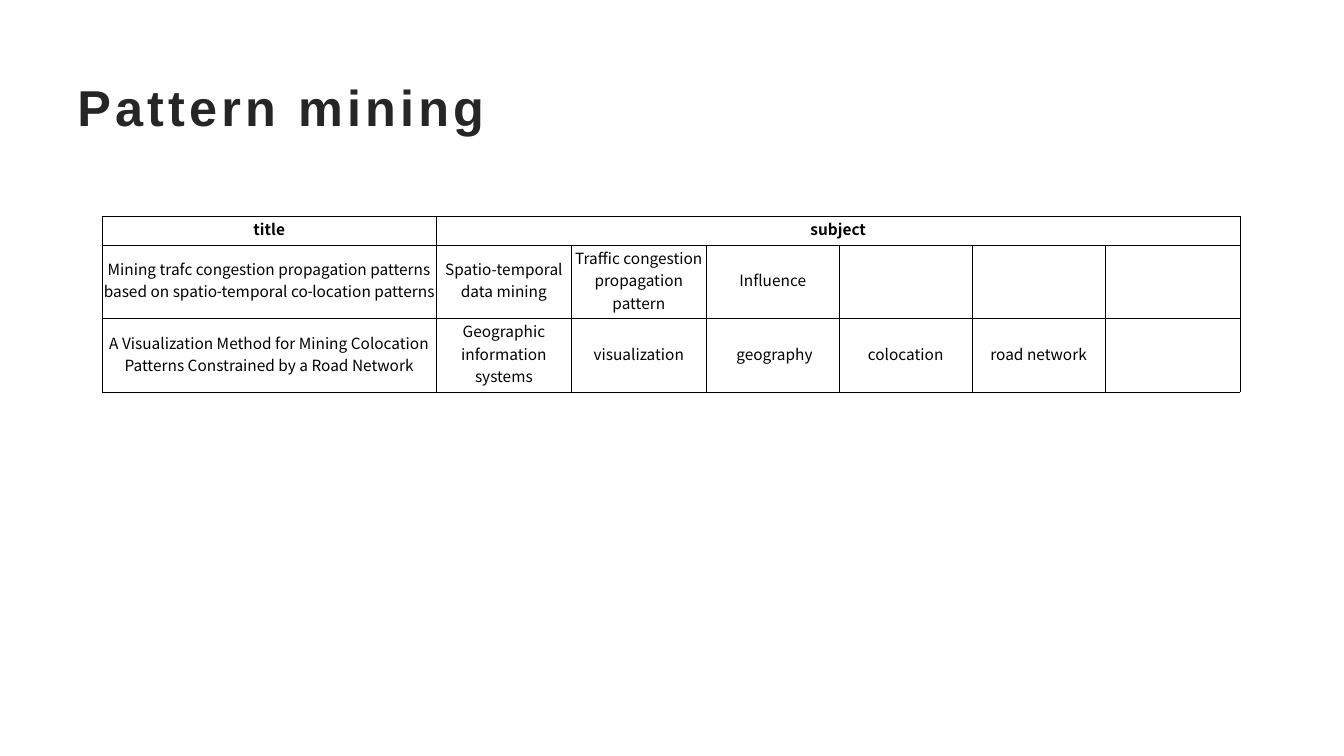
from dataclasses import dataclass

from lxml import etree
from pptx import Presentation, util as u
from pptx.dml.color import RGBColor
from pptx.enum import text as t
from pptx.oxml import ns

BLACK = RGBColor(0x00, 0x00, 0x00)
DARK = RGBColor(0x26, 0x26, 0x26)
SANS, HEAD, DASH = "Noto Sans CJK SC", "Arial", "Roboto"
HYPHEN = "\u2011"


@dataclass
class Style:
    font: str
    size: float
    color: RGBColor
    bold: bool = False
    gap: int = 0  # letter spacing, hundredths of a point


TITLE = Style(HEAD, 36, DARK, True, 300)
LABEL = Style(SANS, 11, BLACK, True)
BODY = Style(SANS, 11, BLACK)
JOIN = Style(DASH, 11, BLACK)

WIDTHS = [8.43, 3.4, 3.4, 3.35, 3.35, 3.35, 3.4]
HEIGHTS = [0.72, 1.85, 1.85]
ROWS = [
    ["title", "subject"],
    ["Mining trafc congestion propagation patterns based on "
     f"spatio{HYPHEN}temporal co{HYPHEN}location patterns",
     "Spatio-temporal data mining", "Traffic congestion propagation pattern",
     "Influence"],
    ["A Visualization Method for Mining Colocation Patterns Constrained "
     "by a Road Network",
     "Geographic information systems", "visualization", " geography",
     "colocation", "road network"],
]


def add_run(para, words: str, style: Style) -> None:
    run = para.add_run()
    run.text = words
    font = run.font
    font.name, font.size, font.bold = style.font, u.Pt(style.size), style.bold
    font.color.rgb = style.color
    props = run._r.get_or_add_rPr()
    if style.gap:
        props.set("spc", str(style.gap))
    etree.SubElement(props, ns.qn("a:ea"), typeface=style.font)


def add_edges(cell) -> None:
    props = cell._tc.get_or_add_tcPr()
    for side in ("lnL", "lnR", "lnT", "lnB"):
        line = etree.SubElement(props, ns.qn(f"a:{side}"), w=str(u.Pt(0.5)))
        fill = etree.SubElement(line, ns.qn("a:solidFill"))
        etree.SubElement(fill, ns.qn("a:srgbClr"), val=str(BLACK))


def fill_cell(cell, words: str, style: Style) -> None:
    add_edges(cell)
    cell.fill.background()
    cell.vertical_anchor = t.MSO_ANCHOR.MIDDLE
    cell.margin_left = cell.margin_right = cell.margin_top = u.Cm(0.03)
    cell.margin_bottom = u.Cm(0.13)
    para = cell.text_frame.paragraphs[0]
    para.alignment = t.PP_ALIGN.CENTER
    # The non-breaking hyphens have a font of their own
    for i, part in enumerate(words.split(HYPHEN)):
        if i:
            add_run(para, HYPHEN, JOIN)
        if part:
            add_run(para, part, style)


def add_title(slide, words: str) -> None:
    box = slide.shapes.add_textbox(u.Cm(1.7), u.Cm(1.7), u.Cm(30.48), u.Cm(1.96))
    frame = box.text_frame
    frame.word_wrap = True
    frame.vertical_anchor = t.MSO_ANCHOR.MIDDLE
    add_run(frame.paragraphs[0], words, TITLE)


def add_grid(slide) -> None:
    frame = slide.shapes.add_table(
        len(HEIGHTS), len(WIDTHS), u.Cm(2.57), u.Cm(5.46),
        u.Cm(sum(WIDTHS)), u.Cm(sum(HEIGHTS)))
    table = frame.table
    table.first_row = table.horz_banding = False
    for col, width in zip(table.columns, WIDTHS):
        col.width = u.Cm(width)
    for row, height in zip(table.rows, HEIGHTS):
        row.height = u.Cm(height)
    table.cell(0, 1).merge(table.cell(0, len(WIDTHS) - 1))
    for r, words in enumerate(ROWS):
        for c in range(len(WIDTHS)):
            entry = words[c] if c < len(words) else ""
            fill_cell(table.cell(r, c), entry, BODY if r else LABEL)


# Slide
deck = Presentation()
deck.slide_width, deck.slide_height = u.Cm(33.87), u.Cm(19.05)
slide = deck.slides.add_slide(deck.slide_layouts[6])

# Heading and table of papers
add_title(slide, "Pattern mining")
add_grid(slide)

deck.save("out.pptx")
